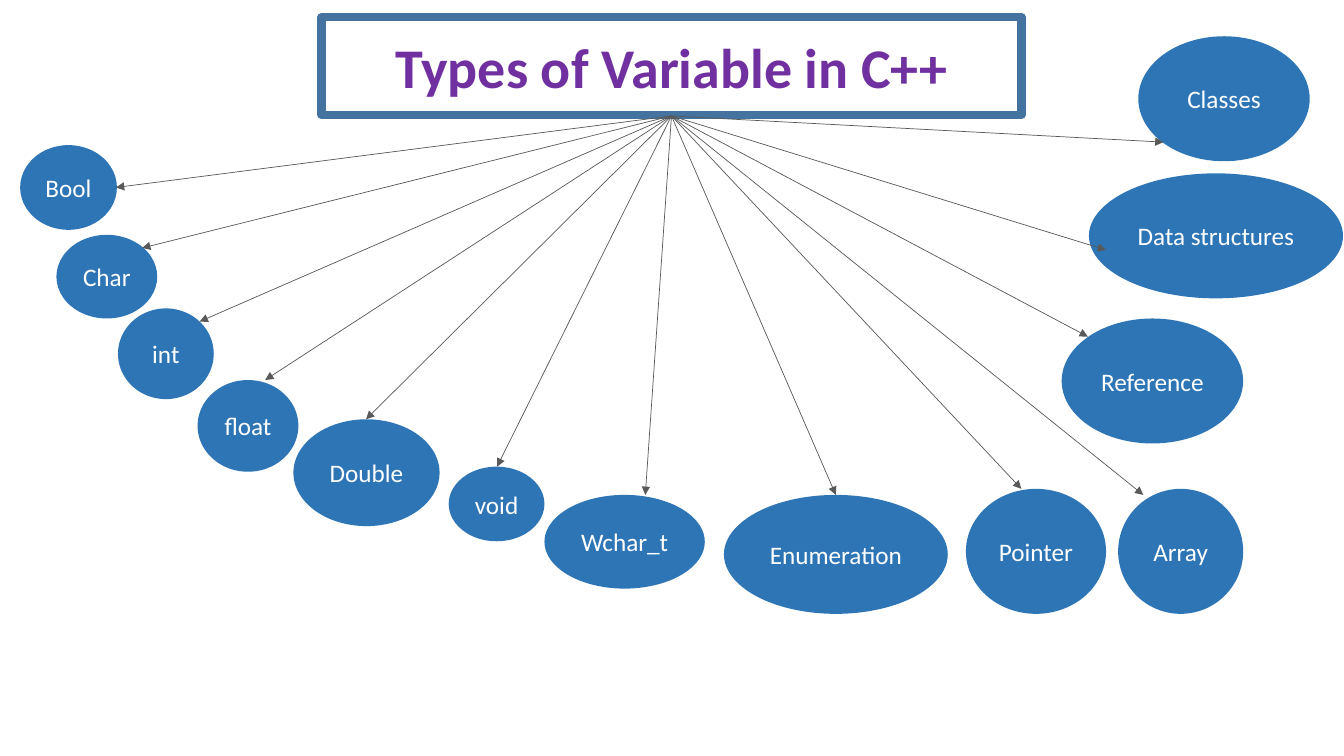
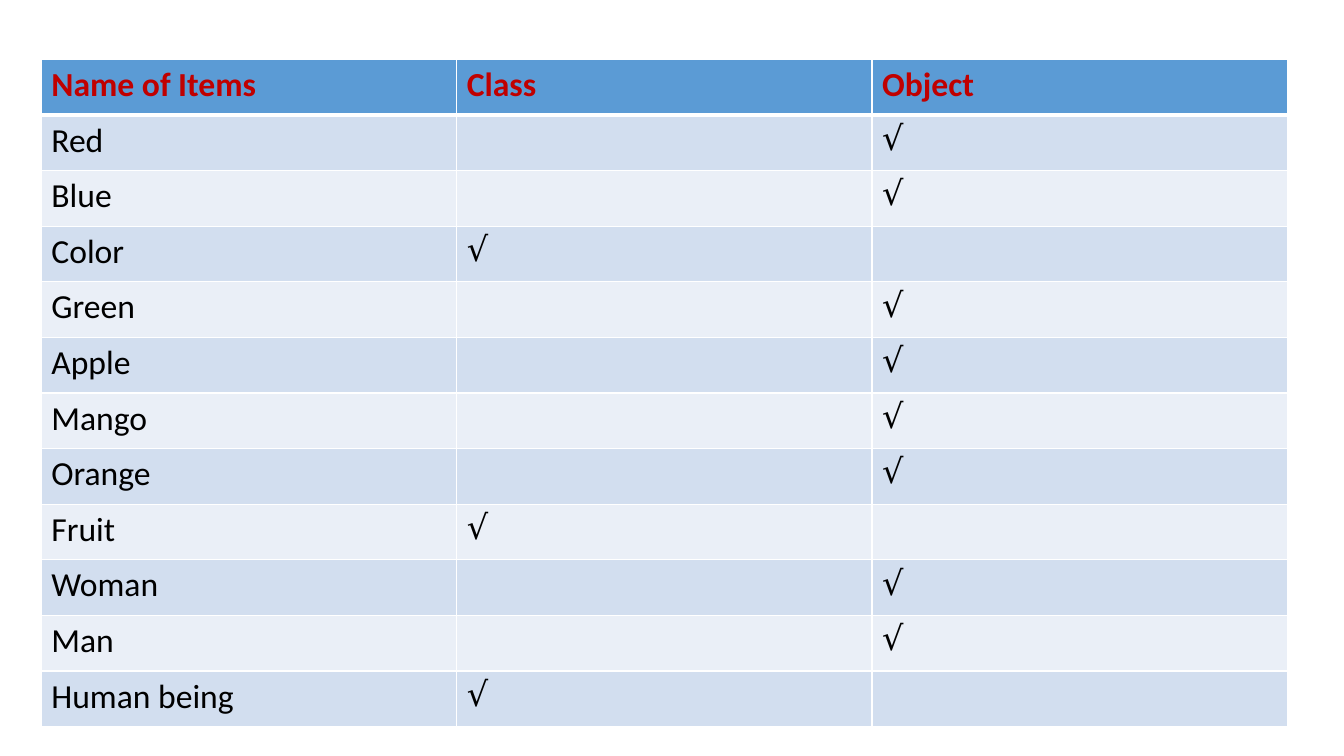
from lxml.etree import SubElement
from pptx import Presentation
from pptx.dml.color import RGBColor
from pptx.enum.shapes import MSO_CONNECTOR, MSO_SHAPE
from pptx.enum.text import MSO_ANCHOR, MSO_AUTO_SIZE, PP_ALIGN
from pptx.oxml.ns import qn
from pptx.util import Pt

PX = 9144  # 100 px to the inch
FONT = "Calibri"
INK = {
    "white": "FFFFFF", "black": "000000", "oval": "2E75B6",
    "frame": "43739E", "title": "7030A0", "arrow": "595959",
    "head": "5B9BD5", "label": "C00000", "odd": "D2DEEF", "even": "EAEFF7",
}


def tint(name):
    return RGBColor.from_string(INK[name])


def write(frame, text, size, color, bold=False, font=FONT, align=None):
    par = frame.paragraphs[0]
    par.alignment = align
    run = par.add_run()
    run.text = text
    run.font.name = font
    run.font.size = Pt(size)
    run.font.bold = bold
    run.font.color.rgb = tint(color)


deck = Presentation()
deck.slide_width, deck.slide_height = 1333 * PX, 750 * PX

# Slide 1: title in a frame
slide = deck.slides.add_slide(deck.slide_layouts[5])
title = slide.shapes.title
title.left, title.top, title.width, title.height = [n * PX for n in (319, 17, 694, 97)]
title.fill.solid()
title.fill.fore_color.rgb = tint("white")
title.line.color.rgb = tint("frame")
title.line.width = Pt(6)
frame = title.text_frame
frame.auto_size = MSO_AUTO_SIZE.NONE
frame.vertical_anchor = MSO_ANCHOR.MIDDLE
write(frame, "Types of Variable in C++", 40, "title", True, align=PP_ALIGN.CENTER)

# Ovals: name, left, top, width, height, then the tip of the arrow
TYPES = [
    ("Bool", 20, 144, 96, 84, 115, 186),
    ("Char", 56, 233, 100, 83, 141, 246),
    ("int", 117, 306, 95, 90, 198, 319),
    ("float", 196, 377, 100, 91, 263, 377),
    ("Double", 291, 416, 145, 106, 363, 416),
    ("void", 445, 463, 95, 74, 493, 463),
    ("Wchar_t", 540, 491, 159, 93, 640, 491),
    ("Enumeration", 718, 491, 222, 118, 829, 491),
    ("Pointer", 958, 485, 139, 124, 1013, 485),
    ("Array", 1109, 485, 124, 124, 1134, 491),
    ("Reference", 1053, 316, 180, 124, 1079, 334),
    ("Data structures", 1080, 172, 252, 124, 1097, 248),
    ("Classes", 1129, 36, 170, 124, 1154, 141),
]
for name, *box, _, _ in TYPES:
    oval = slide.shapes.add_shape(MSO_SHAPE.OVAL, *[n * PX for n in box])
    oval.shadow.inherit = False
    oval.fill.solid()
    oval.fill.fore_color.rgb = tint("oval")
    oval.line.fill.background()
    frame = oval.text_frame
    frame.word_wrap = False
    frame.vertical_anchor = MSO_ANCHOR.MIDDLE
    write(frame, name, 18, "white", align=PP_ALIGN.CENTER)

# Arrows fan out from the foot of the title
for *_, x, y in TYPES:
    arrow = slide.shapes.add_connector(
        MSO_CONNECTOR.STRAIGHT, 666 * PX, 115 * PX, x * PX, y * PX)
    arrow.line.color.rgb = tint("arrow")
    arrow.line.width = Pt(0.5)
    SubElement(arrow.line._get_or_add_ln(), qn("a:tailEnd"), type="triangle")
    SubElement(arrow._element.spPr, qn("a:effectLst"))

# Slide 2: table of classes and objects
HEADS = ["Name of Items", "Class", "Object"]
ITEMS = ["Red", "Blue", "Color", "Green", "Apple", "Mango",
         "Orange", "Fruit", "Woman", "Man", "Human being"]
KINDS = {"Color", "Fruit", "Human being"}
rows = [HEADS]
for item in ITEMS:
    rows.append([item, "√", ""] if item in KINDS else [item, "", "√"])

slide = deck.slides.add_slide(deck.slide_layouts[6])
grid = slide.shapes.add_table(
    len(rows), len(HEADS), 41 * PX, 59 * PX, 1236 * PX, 662 * PX).table
for r, row in enumerate(rows):
    fill = "head" if r == 0 else "odd" if r % 2 else "even"
    for c, text in enumerate(row):
        cell = grid.cell(r, c)
        # White borders, thick under the header
        props = cell._tc.get_or_add_tcPr()
        for side in "LRTB":
            thick = (r, side) in ((0, "B"), (1, "T"))
            line = SubElement(props, qn(f"a:ln{side}"), w=str(Pt(3 if thick else 1)))
            paint = SubElement(line, qn("a:solidFill"))
            SubElement(paint, qn("a:srgbClr"), val=INK["white"])
        cell.fill.solid()
        cell.fill.fore_color.rgb = tint(fill)
        if text:
            font = "Comic Neue" if text == "√" else FONT
            color = "black" if r else "label"
            write(cell.text_frame, text, 24, color, r == 0, font)

deck.save("out.pptx")
